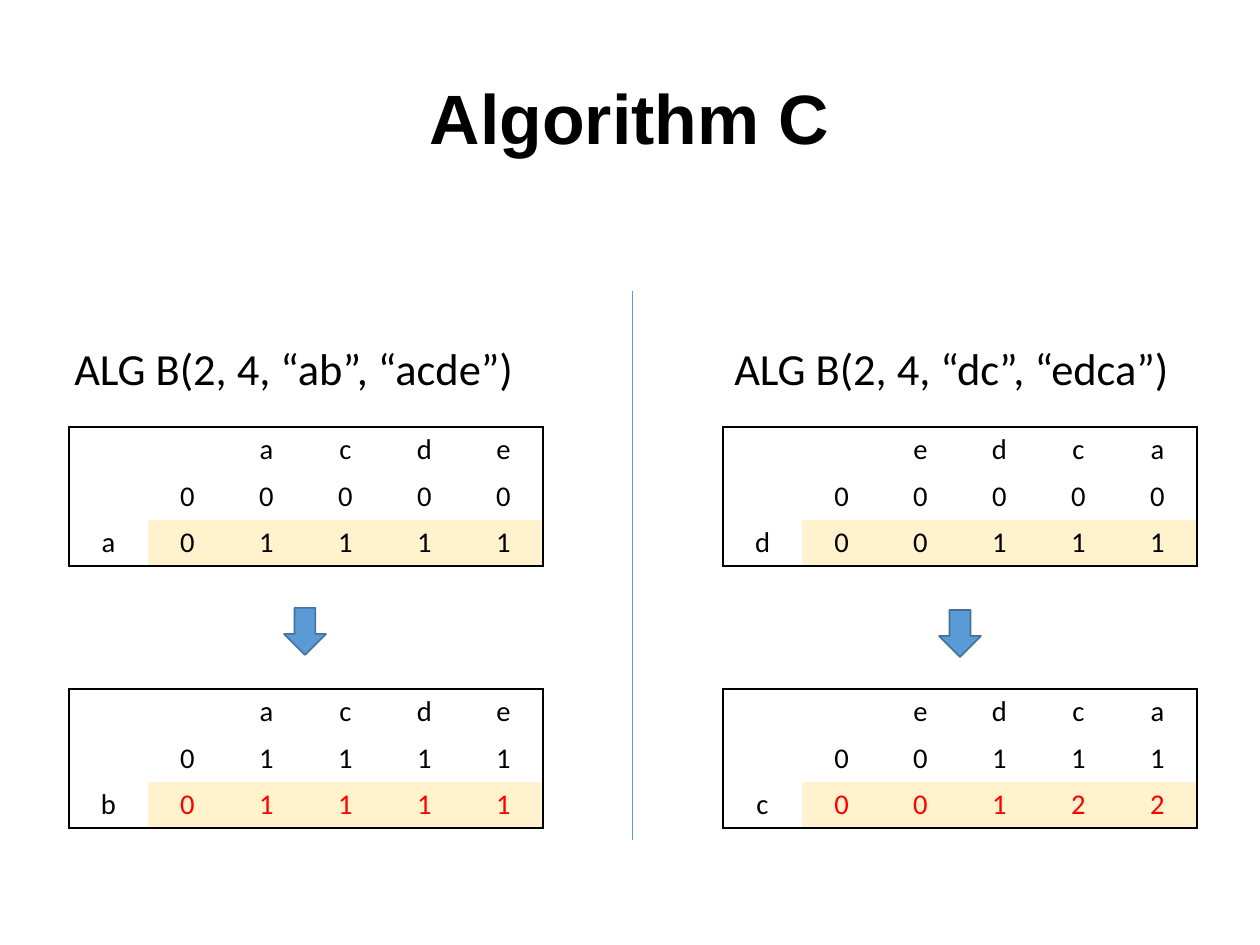
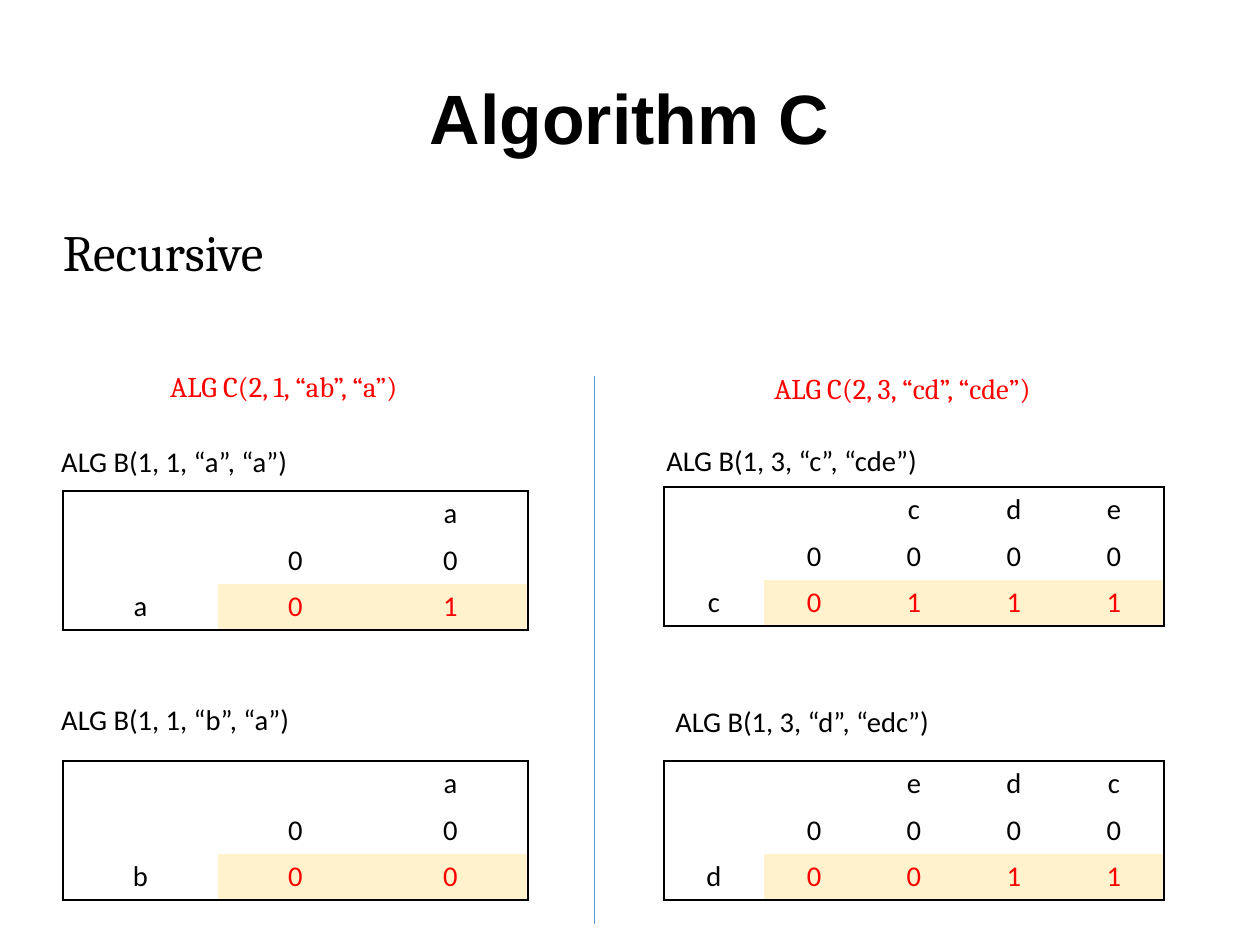
from lxml.etree import SubElement
from pptx import Presentation
from pptx.dml.color import RGBColor
from pptx.enum.shapes import MSO_CONNECTOR, MSO_SHAPE
from pptx.enum.text import MSO_ANCHOR, MSO_AUTO_SIZE, PP_ALIGN
from pptx.oxml.ns import qn
from pptx.util import Pt

PX = 8000
SLIDE_W, SLIDE_H = 1260, 945
ROW_H, LABEL_H = 46, 46
ARROW_W, ARROW_H = 42, 47
TITLE_BOX = (63, 38, 1134, 158)
BODY_BOX = (63, 221, 1134, 547)

BLACK = RGBColor(0x00, 0x00, 0x00)
RED = RGBColor(0xFF, 0x00, 0x00)
CREAM = RGBColor(0xFF, 0xF2, 0xCC)
BLUE = RGBColor(0x5B, 0x9B, 0xD5)
DARK_BLUE = RGBColor(0x41, 0x71, 0x9C)

SLIDES = [
    {
        "title": "Algorithm C",
        "body": None,
        "divider": (632, 291, 840),
        "tables": [
            (69, 427, 79, "acde", "00000", "a", "01111", BLACK),
            (69, 689, 79, "acde", "01111", "b", "01111", RED),
            (723, 427, 79, "edca", "00000", "d", "00111", BLACK),
            (723, 689, 79, "edca", "00111", "c", "00122", RED),
        ],
        "labels": [
            (63, 335, "ALG B(2, 4, “ab”, “acde”)", 28, "Calibri", BLACK),
            (723, 335, "ALG B(2, 4, “dc”, “edca”)", 28, "Calibri", BLACK),
        ],
        "arrows": [(284, 608), (939, 610)],
    },
    {
        "title": "Algorithm C",
        "body": "Recursive",
        "divider": (594, 376, 924),
        "tables": [
            (63, 491, 155, "a", "00", "a", "01", RED),
            (63, 761, 155, "a", "00", "b", "00", RED),
            (664, 487, 100, "cde", "0000", "c", "0111", RED),
            (664, 761, 100, "edc", "0000", "d", "0011", RED),
        ],
        "labels": [
            (50, 438, "ALG B(1, 1, “a”, “a”)", 18, "Calibri", BLACK),
            (50, 696, "ALG B(1, 1, “b”, “a”)", 18, "Calibri", BLACK),
            (655, 437, "ALG B(1, 3, “c”, “cde”)", 18, "Calibri", BLACK),
            (664, 698, "ALG B(1, 3, “d”, “edc”)", 18, "Calibri", BLACK),
            (159, 363, "ALG C(2, 1, “ab”, “a”)", 18, "Cambria", RED),
            (763, 365, "ALG C(2, 3, “cd”, “cde”)", 18, "Cambria", RED),
        ],
        "arrows": [],
    },
]


def emu(*lengths):
    return [n * PX for n in lengths]


def style(p, size, font, color=BLACK, bold=False, align=PP_ALIGN.LEFT):
    p.alignment = align
    for r in p.runs:
        r.font.size, r.font.name, r.font.bold = Pt(size), font, bold
        r.font.color.rgb = color


def fill_placeholder(sp, box, text, anchor):
    sp.left, sp.top, sp.width, sp.height = emu(*box)
    tf = sp.text_frame
    tf.text = text
    tf.word_wrap = True
    tf.auto_size = MSO_AUTO_SIZE.NONE
    tf.vertical_anchor = anchor
    tf.margin_left = tf.margin_right = tf.margin_top = tf.margin_bottom = 0
    return tf.paragraphs[0]


def add_title(s, text):
    p = fill_placeholder(s.shapes.title, TITLE_BOX, text, MSO_ANCHOR.MIDDLE)
    style(p, 44, "Arial", bold=True, align=PP_ALIGN.CENTER)


def add_body(s, text):
    p = fill_placeholder(s.placeholders[1], BODY_BOX, text, MSO_ANCHOR.TOP)
    p.space_before = Pt(0)
    pPr = p._p.get_or_add_pPr()
    pPr.set("marL", "0")
    pPr.set("indent", "0")
    SubElement(pPr, qn("a:buNone"))
    style(p, 32, "Cambria")


def set_borders(cell, sides):
    tcPr = cell._tc.get_or_add_tcPr()
    for side, shown in sides.items():
        ln = SubElement(tcPr, qn(f"a:ln{side}"), w=str(Pt(1)))
        if shown:
            fill = SubElement(ln, qn("a:solidFill"))
            SubElement(fill, qn("a:srgbClr"), val=str(BLACK))
        else:
            SubElement(ln, qn("a:noFill"))


def add_grid(s, x, y, col_w, letters, previous, letter, result, color):
    rows = [["", "", *letters], ["", *previous], [letter, *result]]
    n_rows, n_cols = len(rows), len(rows[0])
    frame = s.shapes.add_table(n_rows, n_cols, *emu(x, y, col_w * n_cols, ROW_H * n_rows))
    table = frame.table
    table.first_row = table.horz_banding = False
    for i, row in enumerate(rows):
        for j, text in enumerate(row):
            cell = table.cell(i, j)
            last = i == n_rows - 1
            in_result = last and j > 0
            set_borders(cell, {"L": j == 0, "R": j == n_cols - 1, "T": i == 0, "B": last})
            if in_result:
                cell.fill.solid()
                cell.fill.fore_color.rgb = CREAM
            else:
                cell.fill.background()
            cell.text = text
            style(cell.text_frame.paragraphs[0], 18, "Calibri",
                  color if in_result else BLACK, align=PP_ALIGN.CENTER)


def add_label(s, x, y, text, size, font, color):
    tf = s.shapes.add_textbox(*emu(x, y, 474, LABEL_H)).text_frame
    tf.text = text
    tf.word_wrap = True
    style(tf.paragraphs[0], size, font, color)


def add_divider(s, x, top, bottom):
    line = s.shapes.add_connector(MSO_CONNECTOR.STRAIGHT, *emu(x, top, x, bottom))
    line.line.color.rgb = BLUE
    line.line.width = Pt(0.5)
    SubElement(line._element.spPr, qn("a:effectLst"))


def add_arrow(s, x, y):
    sp = s.shapes.add_shape(MSO_SHAPE.DOWN_ARROW, *emu(x, y, ARROW_W, ARROW_H))
    sp.shadow.inherit = False
    sp.fill.solid()
    sp.fill.fore_color.rgb = BLUE
    sp.line.color.rgb = DARK_BLUE
    sp.line.width = Pt(1)


def main():
    prs = Presentation()
    prs.slide_width, prs.slide_height = emu(SLIDE_W, SLIDE_H)
    for content in SLIDES:
        s = prs.slides.add_slide(prs.slide_layouts[1 if content["body"] else 5])
        add_title(s, content["title"])
        if content["body"]:
            add_body(s, content["body"])
        for grid in content["tables"]:
            add_grid(s, *grid)
        for label in content["labels"]:
            add_label(s, *label)
        add_divider(s, *content["divider"])
        for arrow in content["arrows"]:
            add_arrow(s, *arrow)
    prs.save("out.pptx")


if __name__ == "__main__":
    main()
